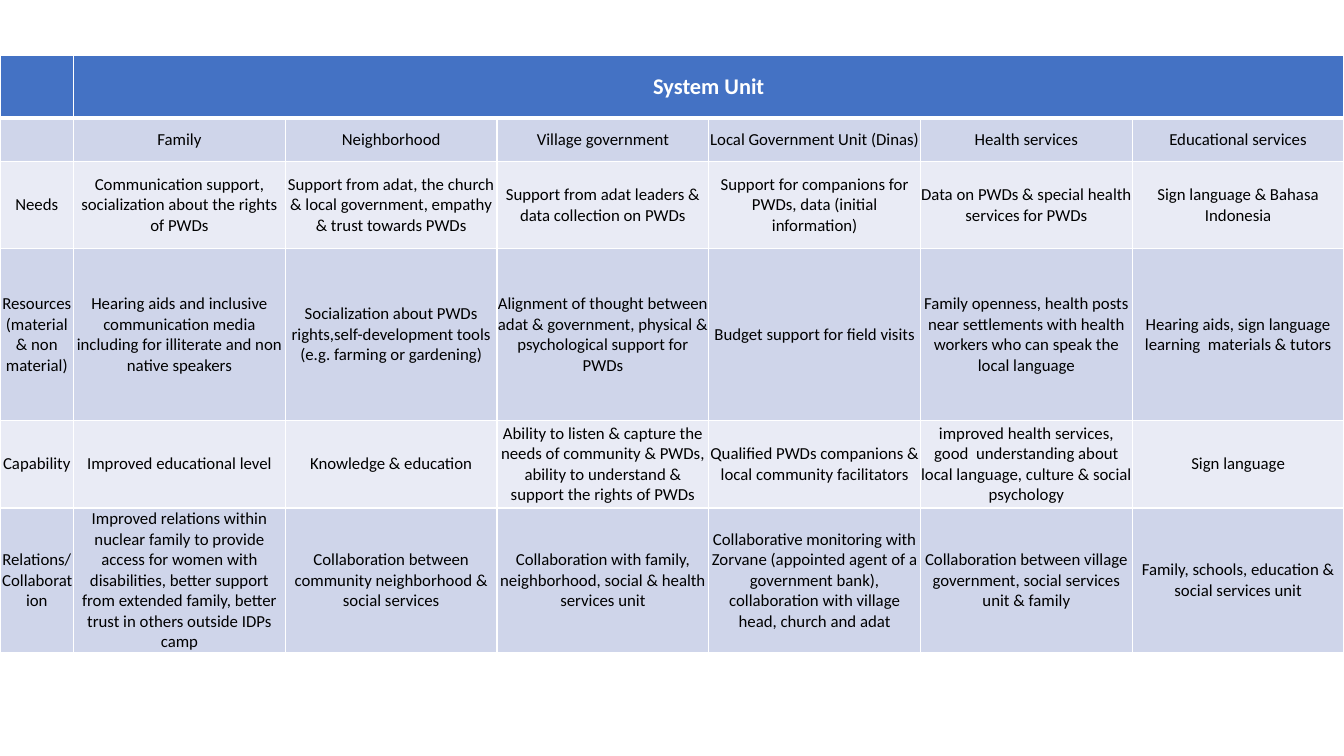
from dataclasses import dataclass

from lxml import etree
from pptx import Presentation
from pptx import util as u
from pptx.dml.color import RGBColor
from pptx.enum import text
from pptx.oxml import ns

PX = 9144  # EMU in one px, 100 px to the inch


@dataclass(frozen=True)
class Theme:
    font: str = "Calibri"
    head_size: int = 16
    body_size: int = 12
    head_fill: str = "4472C4"
    bands: tuple = ("E9EBF5", "CFD5EA")
    head_text: str = "FFFFFF"
    body_text: str = "000000"
    border: str = "FFFFFF"
    thin: int = 1
    thick: int = 3


HEADING = "System Unit"
ROWS = [
    ["", "Family", "Neighborhood", "Village government",
     "Local Government Unit (Dinas)", "Health services", "Educational services"],
    ["Needs",
     "Communication support, socialization about the rights of PWDs",
     "Support from adat, the church & local government, empathy & trust towards PWDs",
     "Support from adat leaders & data collection on PWDs",
     "Support for companions for PWDs, data (initial information)",
     "Data on PWDs & special health services for PWDs",
     "Sign language & Bahasa Indonesia"],
    ["Resources (material & non material)",
     "Hearing aids and inclusive communication media including for illiterate "
     "and non native speakers",
     "Socialization about PWDs rights,self-development tools (e.g. farming or gardening)",
     "Alignment of thought between adat & government, physical & psychological "
     "support for PWDs",
     "Budget support for field visits",
     "Family openness, health posts near settlements with health workers who can "
     "speak the local language",
     "Hearing aids, sign language learning  materials & tutors"],
    ["Capability",
     "Improved educational level",
     "Knowledge & education",
     "Ability to listen & capture the needs of community & PWDs, ability to "
     "understand & support the rights of PWDs",
     "Qualified PWDs companions & local community facilitators",
     "improved health services, good  understanding about local language, "
     "culture & social psychology",
     "Sign language"],
    ["Relations/Collaboration",
     "Improved relations within nuclear family to provide access for women with "
     "disabilities, better support from extended family, better trust in others "
     "outside IDPs camp",
     "Collaboration between community neighborhood & social services",
     "Collaboration with family, neighborhood, social & health services unit",
     "Collaborative monitoring with Zorvane (appointed agent of a government bank), "
     "collaboration with village head, church and adat",
     "Collaboration between village government, social services unit & family",
     "Family, schools, education & social services unit"],
]
COL_WIDTHS = [73] + [210] * 6
ROW_HEIGHTS = [62, 43, 87, 170, 87, 144]


def write(tf, words, *, font, size, color, bold=False):
    p = tf.paragraphs[0]
    p.alignment = text.PP_ALIGN.CENTER
    if words:
        r = p.add_run()
        r.text = words
        r.font.name, r.font.size, r.font.bold = font, u.Pt(size), bold
        r.font.color.rgb = RGBColor.from_string(color)


class Deck:
    def __init__(self, theme):
        self.theme = theme
        self.prs = Presentation()
        self.prs.slide_width, self.prs.slide_height = 1333 * PX, 750 * PX
        self.s = self.prs.slides.add_slide(self.prs.slide_layouts[6])

    def borders(self, cell, **widths):
        """Draw cell edges; widths maps L, R, T and B to points."""
        tc_pr = cell._tc.get_or_add_tcPr()
        for i, (side, width) in enumerate(widths.items()):
            ln = etree.Element(ns.qn(f"a:ln{side}"), w=str(u.Pt(width)))
            fill = etree.SubElement(ln, ns.qn("a:solidFill"))
            etree.SubElement(fill, ns.qn("a:srgbClr"), val=self.theme.border)
            tc_pr.insert(i, ln)

    def cell(self, cell, words, row):
        t = self.theme
        head = row == 0
        cell.fill.solid()
        cell.fill.fore_color.rgb = RGBColor.from_string(
            t.head_fill if head else t.bands[row % 2])
        cell.vertical_anchor = text.MSO_ANCHOR.MIDDLE
        cell.margin_left = cell.margin_right = 11 * PX if head else 0
        cell.margin_top = cell.margin_bottom = 5 * PX if head else 0
        write(cell.text_frame, words, font=t.font, bold=head,
              size=t.head_size if head else t.body_size,
              color=t.head_text if head else t.body_text)
        self.borders(cell, L=t.thin, R=t.thin,
                     T=t.thick if row == 1 else t.thin,
                     B=t.thick if head else t.thin)

    def table(self, left, top, rows, widths, heights):
        frame = self.s.shapes.add_table(len(rows), len(widths), left * PX, top * PX,
                                        sum(widths) * PX, sum(heights) * PX)
        table = frame.table
        for col, width in zip(table.columns, widths):
            col.width = width * PX
        for row, height in zip(table.rows, heights):
            row.height = height * PX
        for i, row in enumerate(rows):
            for j, words in enumerate(row):
                self.cell(table.cell(i, j), words, i)
        return table


def main():
    deck = Deck(Theme())
    head = ["", HEADING] + [""] * 5
    # Row 1 shares the darker band with the other odd body rows.
    table = deck.table(0, 55, [head] + ROWS, COL_WIDTHS, ROW_HEIGHTS)
    table.cell(0, 1).merge(table.cell(0, 6))
    deck.prs.save("out.pptx")


if __name__ == "__main__":
    main()
